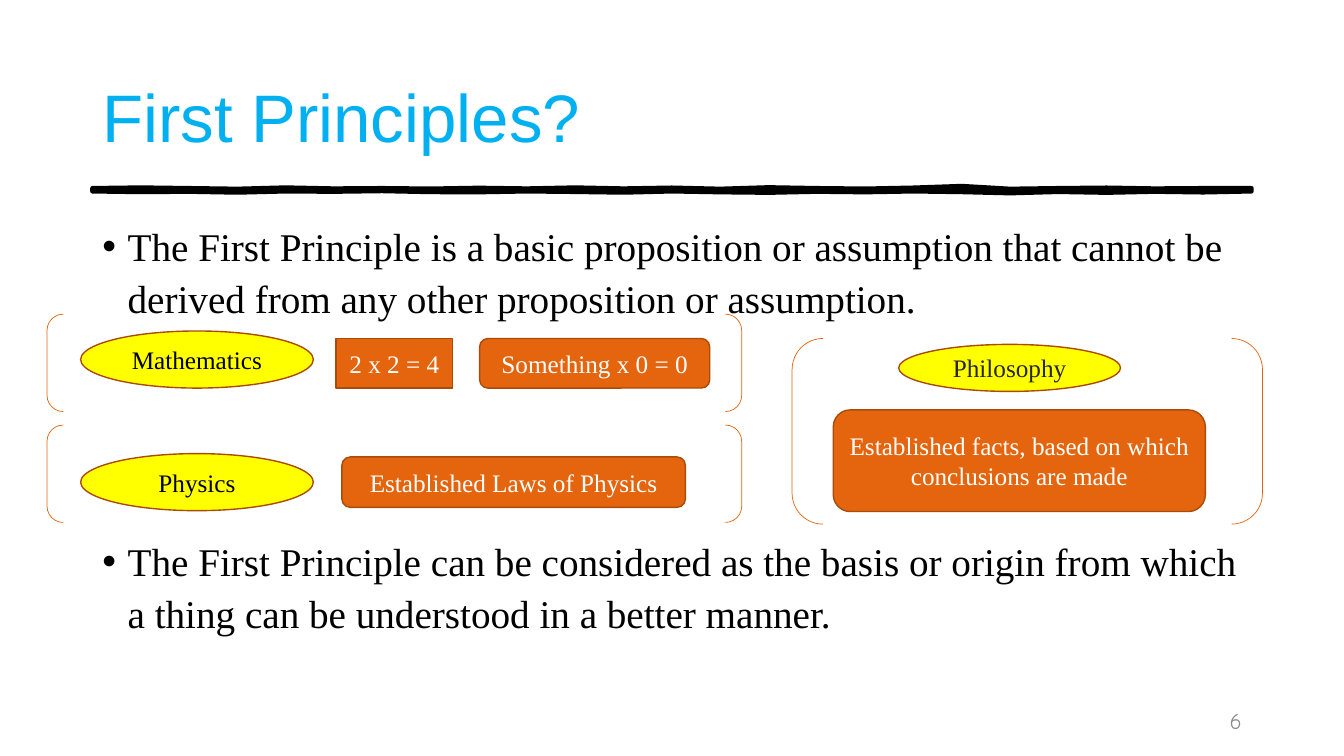
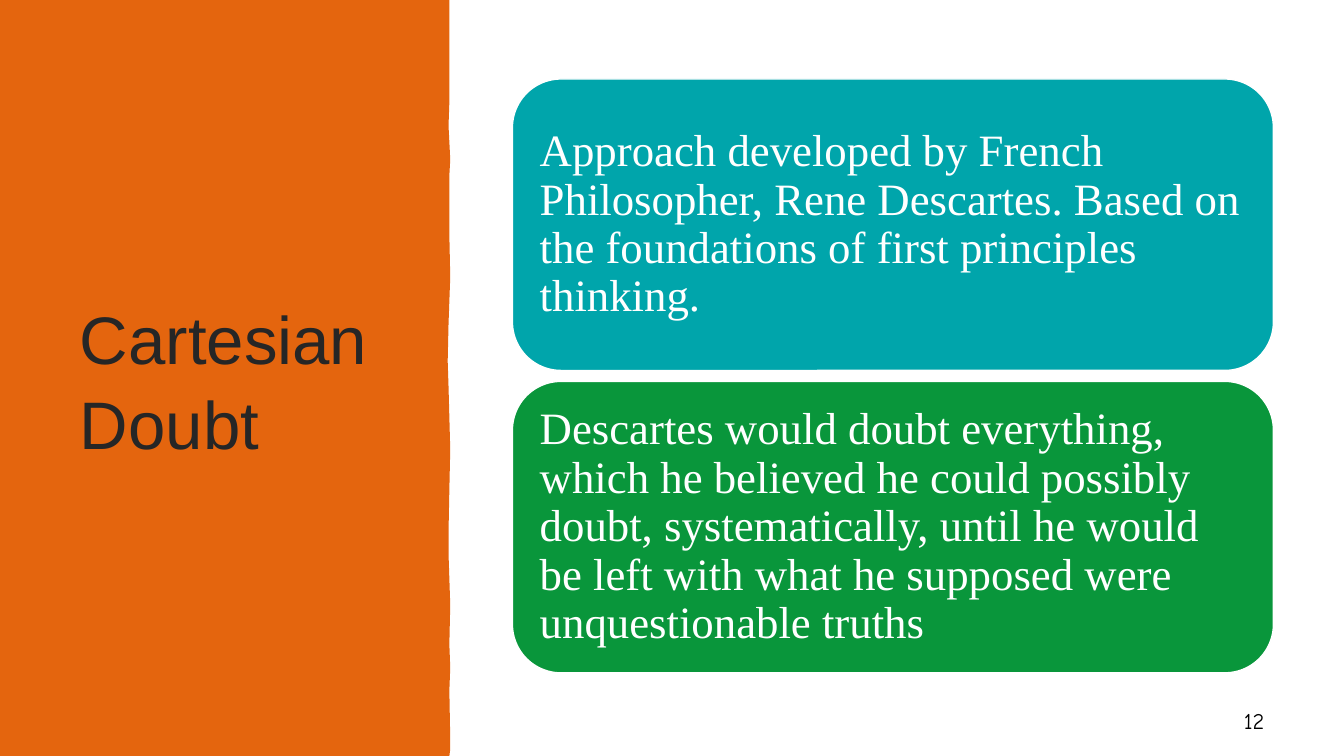
from dataclasses import dataclass

from lxml import etree
from pptx import Presentation
from pptx import util as u
from pptx.dml.color import RGBColor
from pptx.enum import shapes, text
from pptx.oxml.ns import qn

CELL = u.Inches(1 / 12)  # square grid cell: 160 columns by 90 rows
COLUMNS, ROWS = 160, 90


@dataclass(frozen=True)
class Theme:
    accent: str = "E4650E"
    accent_edge: str = "A94B0A"
    highlight: str = "FFFF00"
    teal: str = "00A5AB"
    green: str = "09963B"
    sky: str = "00B0F0"
    ink: str = "262626"
    grey: str = "8C8C8C"
    black: str = "000000"
    white: str = "FFFFFF"
    title_font: str = "Arial"
    text_font: str = "Times New Roman"
    number_font: str = "Comic Neue"
    title_size: int = 48
    card_size: int = 32
    list_size: int = 28
    label_size: int = 18
    number_size: int = 16


THEME = Theme()
ALIGN, ANCHOR, KIND = text.PP_ALIGN, text.MSO_ANCHOR, shapes.MSO_SHAPE


@dataclass(frozen=True)
class Area:
    """A rectangle in grid columns and rows."""
    column: float
    row: float
    columns: float
    rows: float

    def emu(self) -> list[int]:
        return [round(n * CELL) for n in (self.column, self.row, self.columns, self.rows)]


@dataclass(frozen=True)
class Label:
    wording: str
    kind: KIND
    area: Area
    fill: str = THEME.accent
    ink: str = THEME.white


TOPIC = {"kind": KIND.OVAL, "fill": THEME.highlight}
LABELS = (
    Label("2 x 2 = 4", KIND.RECTANGLE, Area(40, 40.3, 13.9, 5.9)),
    Label("Something x 0 = 0", KIND.ROUNDED_RECTANGLE, Area(57.1, 40.3, 27.4, 5.9)),
    Label("Mathematics", area=Area(9.6, 39.4, 27.7, 6.8), ink=THEME.black, **TOPIC),
    Label("Physics", area=Area(9.6, 54, 27.7, 6.8), ink=THEME.black, **TOPIC),
    Label("Established Laws of Physics", KIND.ROUNDED_RECTANGLE, Area(40.7, 54.4, 40.9, 6)),
    Label("Philosophy", area=Area(107, 41, 26.4, 5.6), ink=THEME.ink, **TOPIC),
    Label("Established facts, based on which conclusions are made",
          KIND.ROUNDED_RECTANGLE, Area(99.2, 48.8, 44.3, 12.1)),
)
BRACKETS = (Area(5.6, 37.4, 82.7, 11.6), Area(5.6, 50.6, 82.7, 11.6), Area(94.3, 40.3, 56, 22.1))
PRINCIPLES = (
    "The First Principle is a basic proposition or assumption that cannot be derived "
    "from any other proposition or assumption.",
    "The First Principle can be considered as the basis or origin from which a thing "
    "can be understood in a better manner.",
)
DIAGRAM_GAP = 151  # points left between the two principles
CARDS = (
    ("Approach developed by French Philosopher, Rene Descartes. Based on the foundations "
     "of first principles thinking.", THEME.teal),
    ("Descartes would doubt everything, which he believed he could possibly doubt, "
     "systematically, until he would be left with what he supposed were unquestionable "
     "truths", THEME.green),
)
DIVIDER = Area(11, 22.4, 138, 0.4)
# Ripple of the divider's two edges, in hundredths of a row
TOP_RIPPLE = (0, -8, 0, 8, -8, 4, 0, 6, -4, 4, -8, 4, -6, 8, -10, 0, 6, -6, -26, 8, 0, -6, 4, 0, 0)
BOTTOM_RIPPLE = (0, 8, 4, 14, 0, 4, -4, 8, 10, 0, 6, 14, 0, 10, 16, 4, 10, 0, 8, 22, 6, 16, 4, 12, 0)
PANEL_EDGE = (
    (53.5, 0), (53.5, 7.6), (53.5, 12.2), (53.4, 15), (53.5, 16.9), (53.6, 19), (53.5, 20.9),
    (53.5, 28), (53.6, 33), (53.4, 38.6), (53.3, 43), (53.4, 46), (53.6, 53.5), (53.5, 58.3),
    (53.4, 63.4), (53.4, 65.9), (53.6, 72), (53.5, 76.7), (53.6, 79.5), (53.5, 82.2),
    (53.6, 88), (53.6, 89.2), (53.5, 90),
)


def apply(target, formats: dict) -> None:
    for name, value in formats.items():
        setattr(target, name, value)


def write(shape, paragraphs, font: str, size: int, colour: str, frame=None, paragraph=None) -> None:
    """Fill a shape with paragraphs that share one set of formats."""
    box = shape.text_frame
    apply(box, {"word_wrap": True, "auto_size": text.MSO_AUTO_SIZE.NONE,
                "vertical_anchor": ANCHOR.MIDDLE, **(frame or {})})
    box.text = "\n".join(paragraphs)
    for item in box.paragraphs:
        apply(item, paragraph or {})
        for run in item.runs:
            apply(run.font, {"name": font, "size": u.Pt(size)})
            run.font.color.rgb = RGBColor.from_string(colour)


def paint(shape, fill: str | None, edge: str | None = None, weight: float = 1) -> None:
    shape.shadow.inherit = False
    if fill:
        shape.fill.solid()
        shape.fill.fore_color.rgb = RGBColor.from_string(fill)
    else:
        shape.fill.background()
    if edge:
        shape.line.color.rgb = RGBColor.from_string(edge)
        shape.line.width = u.Pt(weight)
    else:
        shape.line.fill.background()


def place(shape, area: Area) -> None:
    apply(shape, dict(zip(("left", "top", "width", "height"), area.emu())))


def outline(slide, points):
    """Draw a closed outline through points given in grid columns and rows."""
    start, *rest = [(round(x * CELL), round(y * CELL)) for x, y in points]
    builder = slide.shapes.build_freeform(*start)
    builder.add_line_segments(rest, close=True)
    return builder.convert_to_shape()


def add_title(slide, wording: str, area: Area, colour: str) -> None:
    place(slide.shapes.title, area)
    write(slide.shapes.title, [wording], THEME.title_font, THEME.title_size, colour,
          paragraph={"alignment": ALIGN.LEFT, "line_spacing": 1.05})


def add_number(slide, number: int, area: Area, colour: str) -> None:
    box = slide.shapes.add_textbox(*area.emu())
    write(box, [str(number)], THEME.number_font, THEME.number_size, colour,
          paragraph={"alignment": ALIGN.RIGHT})


def add_divider(slide) -> None:
    step = DIVIDER.columns / (len(TOP_RIPPLE) - 1)

    def edge(ripple, row: float):
        return [(DIVIDER.column + i * step, row + r / 100) for i, r in enumerate(ripple)]

    top = edge(TOP_RIPPLE, DIVIDER.row)
    bottom = edge(BOTTOM_RIPPLE, DIVIDER.row + DIVIDER.rows)
    paint(outline(slide, top + bottom[::-1]), THEME.black, THEME.black, 3)


def add_principles(slide) -> None:
    body = slide.placeholders[1]
    place(body, Area(11, 25.3, 138, 55.8))
    write(body, PRINCIPLES, THEME.text_font, THEME.list_size, THEME.black,
          {"vertical_anchor": ANCHOR.TOP},
          {"alignment": ALIGN.LEFT, "line_spacing": 1.1, "space_before": u.Pt(0)})
    for item in body.text_frame.paragraphs:
        properties = item._p.get_or_add_pPr()
        properties.set("marL", str(u.Inches(0.25)))
        properties.set("indent", str(-u.Inches(0.25)))
        etree.SubElement(properties, qn("a:buFont"), typeface="Arial")
        etree.SubElement(properties, qn("a:buChar"), char="•")
    body.text_frame.paragraphs[1].space_before = u.Pt(DIAGRAM_GAP)


def add_label(slide, label: Label) -> None:
    shape = slide.shapes.add_shape(label.kind, *label.area.emu())
    paint(shape, label.fill, THEME.accent_edge)
    write(shape, [label.wording], THEME.text_font, THEME.label_size, label.ink,
          paragraph={"alignment": ALIGN.CENTER})


def add_card(slide, wording: str, fill: str, area: Area) -> None:
    card = slide.shapes.add_shape(KIND.ROUNDED_RECTANGLE, *area.emu())
    paint(card, fill, THEME.white)
    sides = ("left", "top", "right", "bottom")
    write(card, [wording], THEME.text_font, THEME.card_size, THEME.white,
          {f"margin_{side}": u.Inches(0.13) for side in sides},
          {"alignment": ALIGN.LEFT, "line_spacing": 0.9})


def build_first_principles(deck) -> None:
    slide = deck.slides.add_slide(deck.slide_layouts.get_by_name("Title and Content"))
    add_divider(slide)
    add_title(slide, "First Principles?", Area(11, 4.8, 138, 17.4), THEME.sky)
    add_principles(slide)
    for label in LABELS:
        add_label(slide, label)
    for area in BRACKETS:
        paint(slide.shapes.add_shape(KIND.DOUBLE_BRACKET, *area.emu()), None, THEME.accent, 0.5)
    add_number(slide, 6, Area(113, 83.4, 36, 4.8), THEME.grey)


def build_cartesian_doubt(deck) -> None:
    slide = deck.slides.add_slide(deck.slide_layouts.get_by_name("Title Only"))
    panel = outline(slide, [(0, 0), *PANEL_EDGE, (0, ROWS)])
    paint(panel, THEME.accent)
    slide.shapes.title.element.addprevious(panel.element)
    add_title(slide, "Cartesian Doubt", Area(8.3, 8.4, 40.7, 73.3), THEME.ink)
    add_number(slide, 12, Area(127.7, 83.4, 24, 4.8), THEME.black)
    for i, (wording, fill) in enumerate(CARDS):
        add_card(slide, wording, fill, Area(61, 9.4 + 36 * i, 90.6, 34.7))


def main() -> None:
    deck = Presentation()
    deck.slide_width, deck.slide_height = COLUMNS * CELL, ROWS * CELL
    build_first_principles(deck)
    build_cartesian_doubt(deck)
    deck.save("out.pptx")


if __name__ == "__main__":
    main()
